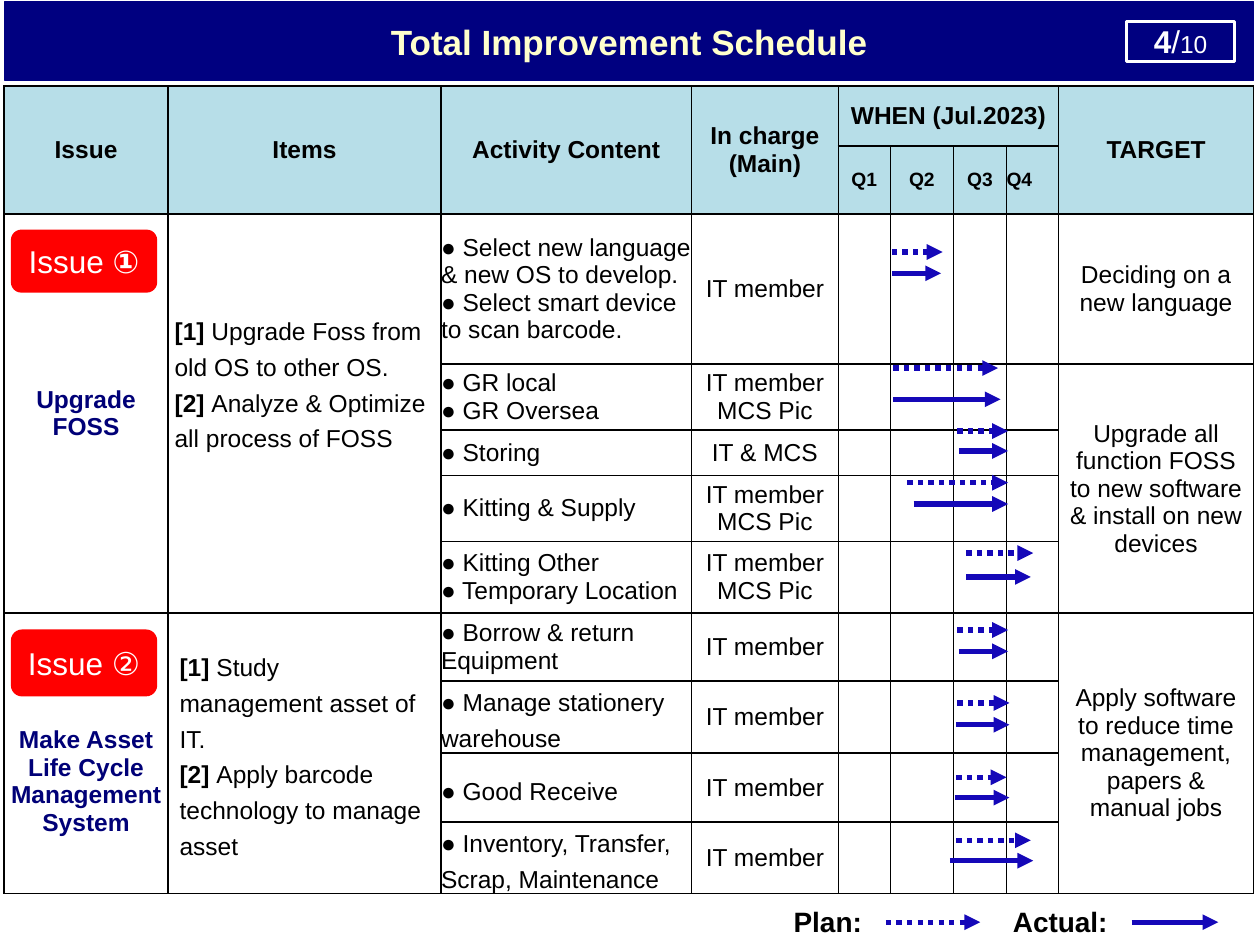
from dataclasses import dataclass
from lxml import etree
from pptx import Presentation
from pptx import util as u
from pptx.dml import color as c
from pptx.enum import dml, shapes, text
from pptx.oxml import ns

Cm, Pt = u.Cm, u.Pt
MID = text.MSO_ANCHOR.MIDDLE
LEFT, CENTER = text.PP_ALIGN.LEFT, text.PP_ALIGN.CENTER


@dataclass(frozen=True)
class Theme:
    font: str = "Arial"
    navy: str = "000080"
    cream: str = "FFFFCC"
    white: str = "FFFFFF"
    black: str = "000000"
    head: str = "B7DEE8"
    name: str = "000077"
    red: str = "FF0000"
    arrow: str = "1508B8"
    title: int = 20
    badge: int = 18
    key: int = 16
    body: int = 14
    small: int = 11


T = Theme()

COLS = [3.31, 5.5, 5.05, 2.96, 1.05, 1.27, 1.07, 1.05, 3.93]
ROWS = [1.21, 1.37, 3.03, 1.33, 0.91, 1.33, 1.45, 1.37, 1.45, 1.39, 1.43]

# Activity lines, person in charge, line spacing
TASKS = [
    (["● Select new language & new OS to develop.",
      "● Select smart device to scan barcode."], "IT member", None),
    (["● GR local", "● GR Oversea"], "IT member MCS Pic", None),
    (["● Storing"], "IT & MCS", None),
    (["● Kitting & Supply"], "IT member MCS Pic", None),
    (["● Kitting Other", "● Temporary Location"], "IT member MCS Pic", None),
    (["● Borrow & return Equipment"], "IT member", None),
    (["● Manage stationery warehouse"], "IT member", 1.3),
    (["● Good Receive"], "IT member", 1.3),
    (["● Inventory, Transfer, Scrap, Maintenance"], "IT member", 1.3),
]

# First row, row count, name, items, margins of name and items (l, t, r, b)
ISSUES = [
    (2, 5, "Upgrade FOSS",
     ["Upgrade Foss from old OS to other OS.",
      "Analyze & Optimize all process of FOSS"],
     (0, 0, 0, 0), (0.13, 0, 0.13, 1.29)),
    (7, 4, "Make Asset Life Cycle Management System",
     ["Study management asset of IT.",
      "Apply barcode technology to manage asset"],
     (0, 1.13, 0, 0), (0.23, 0.1, 0.35, 0.1)),
]

TARGETS = [
    (2, 1, "Deciding on a new language"),
    (3, 4, "Upgrade all function FOSS to new software & install on new devices"),
    (7, 4, "Apply software to reduce time management, papers & manual jobs"),
]

# Plan and actual arrows of each task: y, start, end
SPANS = [
    ((5.08, 17.98, 19), (5.51, 17.98, 18.97)),
    ((7.42, 18.01, 20.12), (8.05, 18.01, 20.17)),
    ((8.69, 19.3, 20.32), (9.09, 19.33, 20.32)),
    ((9.73, 18.29, 20.32), (10.16, 18.42, 20.32)),
    ((11.15, 19.48, 20.83), (11.63, 19.48, 20.78)),
    ((12.7, 19.3, 20.32), (13.13, 19.33, 20.32)),
    ((14.17, 19.3, 20.35), (14.61, 19.28, 20.35)),
    ((15.67, 19.28, 20.29), (16.08, 19.25, 20.35)),
    ((16.94, 19.28, 20.78), (17.35, 19.15, 20.83)),
    ((18.59, 17.86, 19.76), (18.59, 22.81, 24.56)),  # legend
]


def rgb(code):
    return c.RGBColor.from_string(code)


def write(frame, paras, size=T.body, color=T.black, align=CENTER, lead=None):
    """Fill a frame; each paragraph is a list of (text, bold[, size]) runs."""
    for i, runs in enumerate(paras):
        para = frame.add_paragraph() if i else frame.paragraphs[0]
        para.alignment = align
        if lead:
            para.line_spacing = lead
        for words, bold, *own in runs:
            run = para.add_run()
            run.text = words
            font = run.font
            font.name, font.bold = T.font, bold
            font.size = Pt(own[0] if own else size)
            font.color.rgb = rgb(color)


def pad(item, sides):
    (item.margin_left, item.margin_top,
     item.margin_right, item.margin_bottom) = [Cm(s) for s in sides]


def box(slide, kind, place, paras, size, color, fill=None, line=None, width=1):
    form = slide.shapes.add_shape(kind, *[Cm(v) for v in place])
    form.shadow.inherit = False
    if fill:
        form.fill.solid()
        form.fill.fore_color.rgb = rgb(fill)
    else:
        form.fill.background()
    if line:
        form.line.color.rgb = rgb(line)
        form.line.width = Pt(width)
    else:
        form.line.fill.background()
    frame = form.text_frame
    frame.vertical_anchor, frame.word_wrap = MID, False
    pad(frame, (0, 0, 0, 0))
    write(frame, paras, size, color)


def label(slide, place, words):
    frame = slide.shapes.add_textbox(*[Cm(v) for v in place]).text_frame
    frame.word_wrap = True
    write(frame, [[(words, True)]], T.key, align=LEFT)


def arrow(slide, y, start, end, dots):
    link = slide.shapes.add_connector(
        shapes.MSO_CONNECTOR.STRAIGHT, Cm(start), Cm(y), Cm(end), Cm(y))
    link.line.color.rgb = rgb(T.arrow)
    link.line.width = Pt(3)
    if dots:
        link.line.dash_style = dml.MSO_LINE.ROUND_DOT
    etree.SubElement(link.line._get_or_add_ln(), ns.qn("a:tailEnd"), type="triangle")
    etree.SubElement(link._element.spPr, ns.qn("a:effectLst"))


def style(cell, fill):
    """Black border on all sides, plain fill, no margins."""
    props = cell._tc.get_or_add_tcPr()
    for side in ("lnL", "lnR", "lnT", "lnB"):
        edge = etree.SubElement(props, ns.qn("a:" + side), w=str(Pt(1)))
        paint = etree.SubElement(edge, ns.qn("a:solidFill"))
        etree.SubElement(paint, ns.qn("a:srgbClr"), val=T.black)
    cell.fill.solid()
    cell.fill.fore_color.rgb = rgb(fill)
    cell.vertical_anchor = MID
    pad(cell, (0, 0, 0, 0))


def put(grid, row, col, paras, sides=(0, 0, 0, 0), down=1, wide=1, **look):
    cell = grid.cell(row, col)
    if down * wide > 1:
        cell.merge(grid.cell(row + down - 1, col + wide - 1))
    pad(cell, sides)
    write(cell.text_frame, paras, **look)


def plan(slide):
    grid = slide.shapes.add_table(
        len(ROWS), len(COLS), Cm(0.08), Cm(1.73),
        Cm(sum(COLS)), Cm(sum(ROWS))).table
    grid.first_row = grid.horz_banding = False
    for col, size in zip(grid.columns, COLS):
        col.width = Cm(size)
    for i, (row, size) in enumerate(zip(grid.rows, ROWS)):
        row.height = Cm(size)
        for cell in row.cells:
            style(cell, T.head if i < 2 else T.white)

    # Header
    heads = {0: "Issue", 1: "Items", 2: "Activity Content",
             3: "In charge (Main)", 4: "WHEN (Jul.2023)", 8: "TARGET"}
    for col, words in heads.items():
        down, wide = (1, 4) if col == 4 else (2, 1)
        put(grid, 0, col, [[(words, True)]], (0.25, 0.13, 0.25, 0.13), down, wide)
    for i in range(4):
        put(grid, 1, 4 + i, [[(f"Q{i + 1}", True)]], size=T.small,
            align=LEFT if i == 3 else CENTER)

    # Body
    for row, down, name, items, edge, inset in ISSUES:
        put(grid, row, 0, [[(name, True)]], edge, down, color=T.name)
        paras = [[(f"[{n}] ", True), (item, False)] for n, item in enumerate(items, 1)]
        put(grid, row, 1, paras, inset, down, align=LEFT, lead=1.3)
    for row, (acts, who, lead) in enumerate(TASKS, 2):
        put(grid, row, 2, [[(act, False)] for act in acts], align=LEFT, lead=lead)
        put(grid, row, 3, [[(who, False)]], (0.23, 0.1, 0.23, 0.1))
    for row, down, goal in TARGETS:
        put(grid, row, 8, [[(goal, False)]], (0.13, 0, 0.13, 0), down)


def main():
    deck = Presentation()
    deck.slide_width, deck.slide_height = Cm(25.4), Cm(19.05)
    slide = deck.slides.add_slide(deck.slide_layouts[6])
    rect, round_ = shapes.MSO_SHAPE.RECTANGLE, shapes.MSO_SHAPE.ROUNDED_RECTANGLE

    # Banner and page number
    box(slide, rect, (0.1, 0.03, 25.17, 1.6), [[("Total Improvement Schedule", True)]],
        T.title, T.cream, T.navy, T.navy, 0.75)
    box(slide, rect, (22.71, 0.43, 2.18, 0.81),
        [[("4", True), ("/", False), ("10", False, T.body)]],
        T.badge, T.white, line=T.white, width=2)

    # Schedule
    plan(slide)
    for top, high, sign, bold in ((4.63, 1.27, "①", True), (12.69, 1.35, "②", False)):
        box(slide, round_, (0.22, top, 2.95, high),
            [[("Issue ", False), (sign, bold)]], T.badge, T.white, T.red)

    # Legend and arrows
    label(slide, (15.75, 18.11, 2.11, 0.94), "Plan:")
    label(slide, (20.17, 18.11, 2.64, 0.94), "Actual:")
    for dotted, solid in SPANS:
        arrow(slide, *dotted, True)
        arrow(slide, *solid, False)

    deck.save("out.pptx")


if __name__ == "__main__":
    main()
